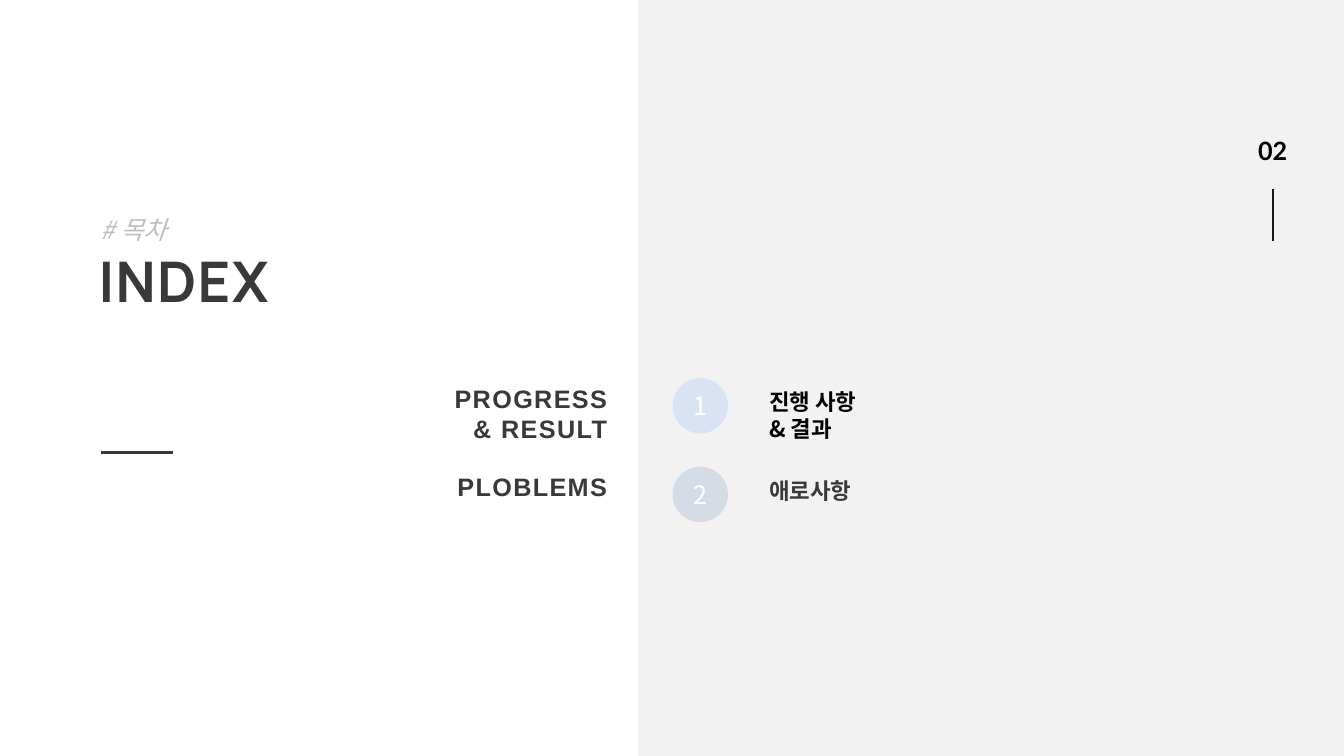
from dataclasses import dataclass

from lxml import etree
from pptx import Presentation
from pptx import util as u
from pptx.dml.color import RGBColor
from pptx.enum import shapes, text
from pptx.oxml import ns

DARK = "3B3838"
KOREAN = "Noto Sans CJK KR"


@dataclass
class Style:
    font: str
    size: float
    color: str
    bold: bool = False
    italic: bool = False
    tracking: float = 0
    align: text.PP_ALIGN = text.PP_ALIGN.LEFT
    line_spacing: float | u.Pt | None = None
    space_before: float | None = None


@dataclass
class Topic:
    number: str
    top: float
    circle_color: str
    english: list[str]
    english_height: float
    korean: list[str]
    korean_height: float
    korean_color: str


TOPICS = [
    Topic("1", 3.75, "DAE3F3", ["PROGRESS", "& RESULT"], 0.71,
          ["진행 사항", "& 결과"], 0.64, "000000"),
    Topic("2", 4.63, "D6DCE5", ["PLOBLEMS"], 0.4,
          ["애로사항"], 0.37, DARK),
]


def rgb(color: str) -> RGBColor:
    return RGBColor.from_string(color)


def write(frame, lines: list[str], style: Style) -> None:
    for i, line in enumerate(lines):
        paragraph = frame.paragraphs[0] if i == 0 else frame.add_paragraph()
        paragraph.text = line
        paragraph.alignment = style.align
        if style.line_spacing is not None:
            paragraph.line_spacing = style.line_spacing
        if style.space_before is not None:
            paragraph.space_before = u.Pt(style.space_before)
        font = paragraph.font
        font.size = u.Pt(style.size)
        font.bold = style.bold
        font.italic = style.italic
        font.color.rgb = rgb(style.color)
        font.name = style.font
        # Letter spacing and East Asian typeface
        defaults = paragraph._p.pPr.find(ns.qn("a:defRPr"))
        defaults.set("spc", str(int(style.tracking * 100)))
        etree.SubElement(defaults, ns.qn("a:ea"), typeface=style.font)


def add_text(slide, left: float, top: float, width: float, height: float,
             lines: list[str], style: Style, wrap: bool = True) -> None:
    box = slide.shapes.add_textbox(*map(u.Inches, (left, top, width, height)))
    box.text_frame.word_wrap = wrap
    write(box.text_frame, lines, style)


def add_block(slide, kind: shapes.MSO_SHAPE, left: float, top: float,
              width: float, height: float, color: str):
    block = slide.shapes.add_shape(kind, *map(u.Inches, (left, top, width, height)))
    block.shadow.inherit = False
    block.fill.solid()
    block.fill.fore_color.rgb = rgb(color)
    block.line.fill.background()
    return block


def add_rule(slide, x1: float, y1: float, x2: float, y2: float,
             color: str, weight: float) -> None:
    rule = slide.shapes.add_connector(
        shapes.MSO_CONNECTOR.STRAIGHT, *map(u.Inches, (x1, y1, x2, y2)))
    rule.line.color.rgb = rgb(color)
    rule.line.width = u.Pt(weight)
    etree.SubElement(rule._element.spPr, ns.qn("a:effectLst"))


def add_topic(slide, topic: Topic) -> None:
    circle = add_block(slide, shapes.MSO_SHAPE.OVAL, 6.67, topic.top,
                       0.55, 0.55, topic.circle_color)
    circle.text_frame.vertical_anchor = text.MSO_ANCHOR.MIDDLE
    write(circle.text_frame, [topic.number],
          Style(KOREAN, 18, "FFFFFF", align=text.PP_ALIGN.CENTER))
    add_text(slide, 2.81, topic.top, 3.31, topic.english_height, topic.english,
             Style("Arial", 18, DARK, bold=True, tracking=1,
                   align=text.PP_ALIGN.RIGHT))
    add_text(slide, 7.53, topic.top + 0.05, 2.67, topic.korean_height,
             topic.korean, Style(KOREAN, 16, topic.korean_color, bold=True))


def main() -> None:
    deck = Presentation()
    deck.slide_width, deck.slide_height = u.Inches(13.33), u.Inches(7.5)
    slide = deck.slides.add_slide(deck.slide_layouts[6])

    # Right panel with page number
    add_block(slide, shapes.MSO_SHAPE.RECTANGLE, 6.33, 0, 7, 7.5, "F2F2F2")
    add_text(slide, 12.38, 1.29, 0.64, 0.4, ["02"],
             Style("Lato", 18, "000000", bold=True), wrap=False)
    add_rule(slide, 12.63, 1.88, 12.63, 2.39, "181717", 1.5)

    # Heading
    add_text(slide, 0.88, 2.47, 3.55, 1.48, ["INDEX"],
             Style("Manrope", 40, DARK, bold=True, tracking=1, line_spacing=0.9))
    add_rule(slide, 1, 4.49, 1.72, 4.49, DARK, 2.75)
    add_text(slide, 0.9, 2.13, 4.33, 0.41, ["# 목차"],
             Style(KOREAN, 18, "BFBFBF", italic=True,
                   line_spacing=u.Pt(18), space_before=12))

    # Topics
    for topic in TOPICS:
        add_topic(slide, topic)

    deck.save("out.pptx")


if __name__ == "__main__":
    main()
